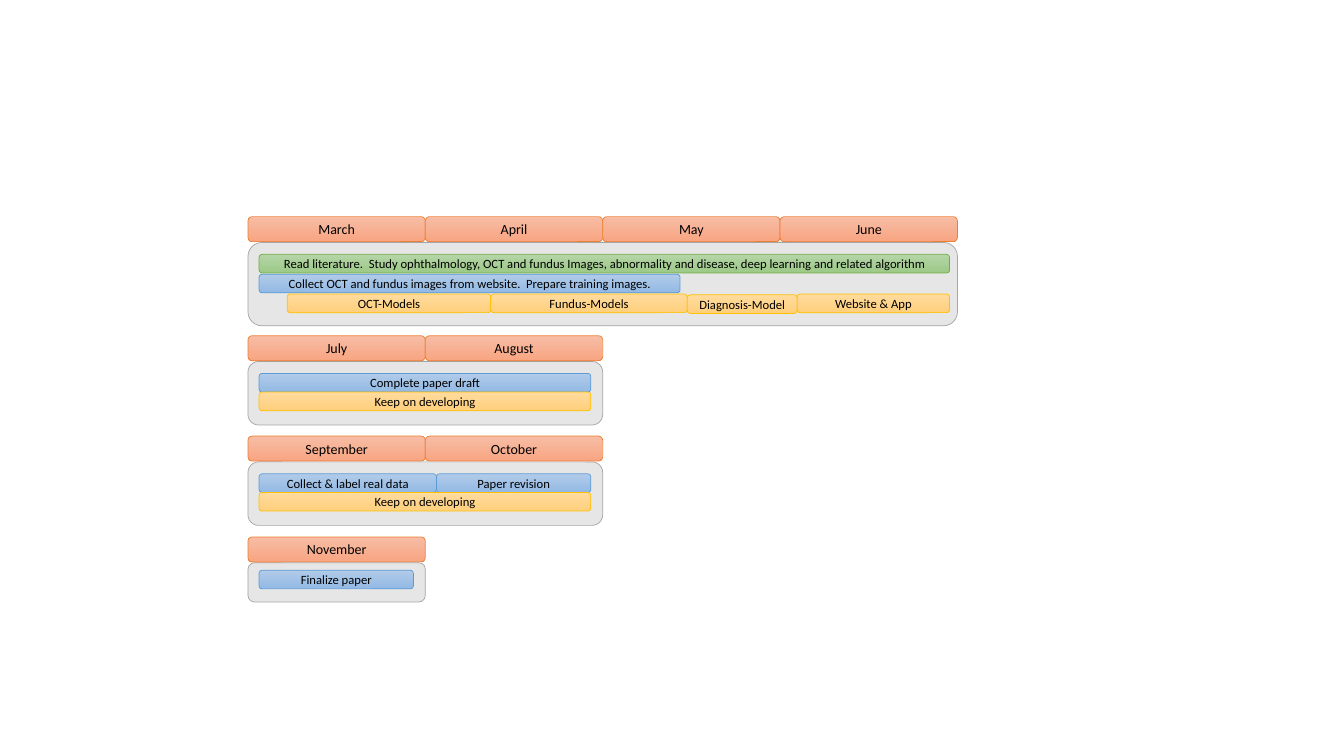
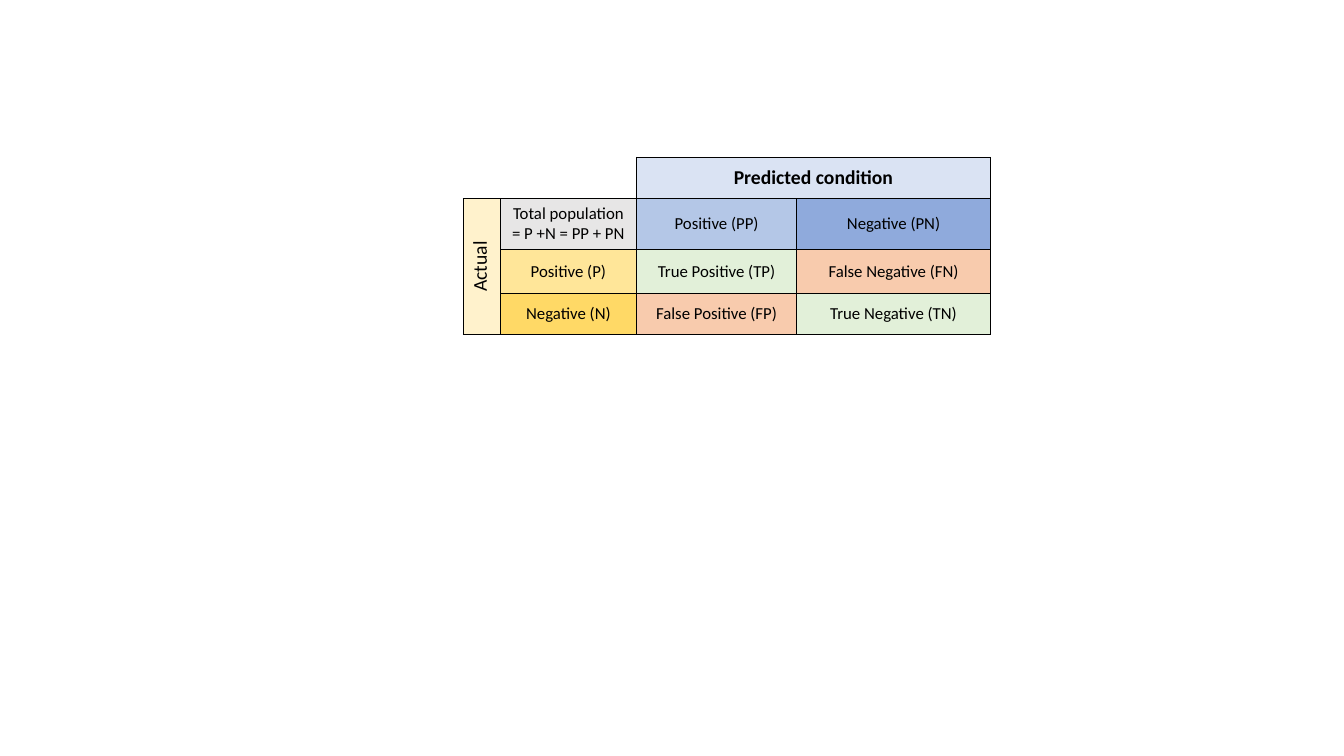
"""Build a project timeline slide and a confusion matrix slide."""
import lxml.etree
import pptx
import pptx.dml.color
import pptx.enum.shapes
import pptx.enum.text
import pptx.oxml.ns
import pptx.util

Cm = pptx.util.Cm
Pt = pptx.util.Pt
RGBColor = pptx.dml.color.RGBColor
Shape = pptx.enum.shapes.MSO_SHAPE
qn = pptx.oxml.ns.qn

BLACK = RGBColor(0x00, 0x00, 0x00)
GREY = RGBColor(0xE7, 0xE6, 0xE6)
GREY_LINE = RGBColor(0xA5, 0xA5, 0xA5)
BLUE_PALE = RGBColor(0xDA, 0xE3, 0xF3)
BLUE_LIGHT = RGBColor(0xB4, 0xC7, 0xE7)
BLUE_MID = RGBColor(0x8F, 0xAA, 0xDC)
GOLD_PALE = RGBColor(0xFF, 0xF2, 0xCC)
GOLD_LIGHT = RGBColor(0xFF, 0xE6, 0x99)
GOLD_MID = RGBColor(0xFF, 0xD9, 0x66)
GREEN_PALE = RGBColor(0xE2, 0xF0, 0xD9)
ORANGE_LIGHT = RGBColor(0xF8, 0xCB, 0xAD)

ORANGE = (RGBColor(0xF7, 0xBD, 0xA5), RGBColor(0xF8, 0xA5, 0x82), RGBColor(0xED, 0x7D, 0x31))
GREEN = (RGBColor(0xB5, 0xD5, 0xA7), RGBColor(0x9C, 0xC9, 0x87), RGBColor(0x70, 0xAD, 0x47))
BLUE = (RGBColor(0xB1, 0xCB, 0xE9), RGBColor(0x93, 0xB9, 0xE4), RGBColor(0x5B, 0x9B, 0xD5))
GOLD = (RGBColor(0xFF, 0xDB, 0x9E), RGBColor(0xFF, 0xD0, 0x7C), RGBColor(0xFF, 0xC0, 0x00))


def write(frame, text, size=12, bold=False):
    """Append a centred black run to the first paragraph of a text frame."""
    para = frame.paragraphs[0]
    para.alignment = pptx.enum.text.PP_ALIGN.CENTER
    span = para.add_run()
    span.text = text
    span.font.name = "Calibri"
    span.font.size = Pt(size)
    span.font.bold = bold
    span.font.color.rgb = BLACK


def add_bar(page, text, left, top, width, height, colours, size=9):
    """Add a rounded bar with a vertical gradient and a label."""
    start, end, edge = colours
    bar = page.shapes.add_shape(Shape.ROUNDED_RECTANGLE, Cm(left), Cm(top), Cm(width), Cm(height))
    bar.shadow.inherit = False
    bar.fill.gradient()
    bar.fill.gradient_angle = 270
    for stop, colour in zip(bar.fill.gradient_stops, (start, end)):
        stop.color.rgb = colour
    bar.line.color.rgb = edge
    bar.line.width = Pt(0.5)
    frame = bar.text_frame
    frame.word_wrap = True
    frame.vertical_anchor = pptx.enum.text.MSO_ANCHOR.MIDDLE
    frame.margin_left = frame.margin_right = frame.margin_top = frame.margin_bottom = 0
    write(frame, text, size=size)


deck = pptx.Presentation()
deck.slide_width = Cm(33.87)
deck.slide_height = Cm(19.05)
blank = deck.slide_layouts[6]

LEFT = 6.25
MONTH_WIDTH = 4.47
MONTH_HEIGHT = 0.63
BAR_LEFT = 6.53
BAR_HEIGHT = 0.47

phases = [
    (5.46, 2.1, ["March", "April", "May", "June"], [
        ("Read literature.  Study ophthalmology, OCT and fundus Images, abnormality and disease, "
         "deep learning and related algorithm", BAR_LEFT, 0.95, 17.4, GREEN),
        ("Collect OCT and fundus images from website.  Prepare training images.",
         BAR_LEFT, 1.45, 10.61, BLUE),
        ("OCT-Models", 7.24, 1.95, 5.13, GOLD),
        ("Fundus-Models", 12.37, 1.95, 4.95, GOLD),
        ("Diagnosis-Model", 17.32, 1.97, 2.77, GOLD),
        ("Website & App", 20.09, 1.95, 3.84, GOLD),
    ]),
    (8.46, 1.6, ["July", "August"], [
        ("Complete paper draft", BAR_LEFT, 0.95, 8.36, BLUE),
        ("Keep on developing", BAR_LEFT, 1.42, 8.36, GOLD),
    ]),
    (10.99, 1.6, ["September", "October"], [
        ("Collect & label real data", BAR_LEFT, 0.95, 4.47, BLUE),
        ("Paper revision", 11, 0.95, 3.89, BLUE),
        ("Keep on developing", BAR_LEFT, 1.42, 8.36, GOLD),
    ]),
    (13.53, 0.99, ["November"], [
        ("Finalize paper", BAR_LEFT, 0.84, 3.89, BLUE),
    ]),
]

page = deck.slides.add_slide(blank)
for top, panel_height, months, tasks in phases:
    panel = page.shapes.add_shape(
        Shape.FLOWCHART_ALTERNATE_PROCESS, Cm(LEFT), Cm(top + 0.65),
        Cm(MONTH_WIDTH * len(months)), Cm(panel_height))
    panel.shadow.inherit = False
    panel.fill.solid()
    panel.fill.fore_color.rgb = GREY
    panel.line.color.rgb = GREY_LINE
    panel.line.width = Pt(0.5)
    for index, month in enumerate(months):
        add_bar(page, month, LEFT + index * MONTH_WIDTH, top, MONTH_WIDTH, MONTH_HEIGHT,
                ORANGE, size=10)
    for text, left, offset, width, colours in tasks:
        add_bar(page, text, left, top + offset, width, BAR_HEIGHT, colours)

column_widths = [0.94, 3.43, 4.04, 4.88]
row_heights = [1.04, 1.29, 1.1, 1.04]
matrix = [
    [("", None), ("", None), ("Predicted condition", BLUE_PALE), ("", BLUE_PALE)],
    [("Actual", GOLD_PALE), ("Total population = P +N = PP + PN", GREY),
     ("Positive (PP)", BLUE_LIGHT), ("Negative (PN)", BLUE_MID)],
    [("", GOLD_PALE), ("Positive (P)", GOLD_LIGHT),
     ("True Positive (TP)", GREEN_PALE), ("False Negative (FN)", ORANGE_LIGHT)],
    [("", GOLD_PALE), ("Negative (N)", GOLD_MID),
     ("False Positive (FP)", ORANGE_LIGHT), ("True Negative (TN)", GREEN_PALE)],
]
open_corner = {(0, 0): ["a:lnB"], (0, 1): ["a:lnR", "a:lnB"]}
all_sides = ["a:lnL", "a:lnR", "a:lnT", "a:lnB"]

page = deck.slides.add_slide(blank)
table = page.shapes.add_table(
    4, 4, Cm(11.67), Cm(3.96), Cm(sum(column_widths)), Cm(sum(row_heights))).table
table.first_row = False
table.horz_banding = False
for column, width in zip(table.columns, column_widths):
    column.width = Cm(width)
for row, height in zip(table.rows, row_heights):
    row.height = Cm(height)
table.cell(0, 2).merge(table.cell(0, 3))
table.cell(1, 0).merge(table.cell(3, 0))

for row_index, entries in enumerate(matrix):
    for column_index, (text, colour) in enumerate(entries):
        cell = table.cell(row_index, column_index)
        cell.vertical_anchor = pptx.enum.text.MSO_ANCHOR.MIDDLE
        properties = cell._tc.get_or_add_tcPr()
        for side in open_corner.get((row_index, column_index), all_sides):
            border = lxml.etree.SubElement(properties, qn(side), w=str(Pt(0.5)))
            paint = lxml.etree.SubElement(border, qn("a:solidFill"))
            lxml.etree.SubElement(paint, qn("a:srgbClr"), val=str(BLACK))
        if colour is None:
            cell.fill.background()
        else:
            cell.fill.solid()
            cell.fill.fore_color.rgb = colour
        if text:
            is_heading = row_index == 0
            size = 14 if is_heading or column_index == 0 else 12
            write(cell.text_frame, text, size=size, bold=is_heading)

actual = table.cell(1, 0)
actual.margin_left = actual.margin_right = 0
actual._tc.get_or_add_tcPr().set("vert", "vert270")

deck.save("out.pptx")
